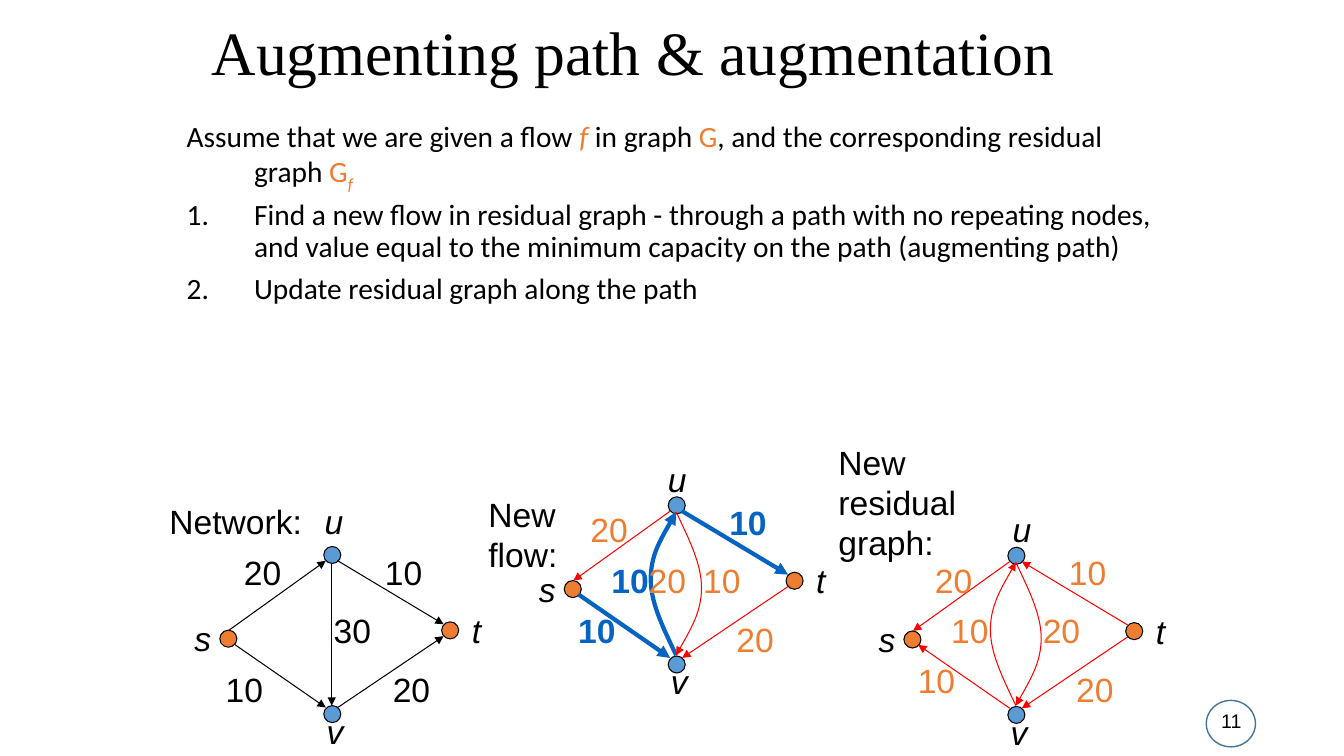
import pptx
import pptx.dml.color
import pptx.enum.shapes
import pptx.enum.text
import pptx.oxml.ns
import pptx.util
from lxml import etree

Cm = pptx.util.Cm
Pt = pptx.util.Pt
RGBColor = pptx.dml.color.RGBColor
qn = pptx.oxml.ns.qn
SHAPE = pptx.enum.shapes.MSO_SHAPE
ALIGN = pptx.enum.text.PP_ALIGN
ANCHOR = pptx.enum.text.MSO_ANCHOR
FIT = pptx.enum.text.MSO_AUTO_SIZE

BLACK = RGBColor(0x00, 0x00, 0x00)
ORANGE = RGBColor(0xED, 0x7D, 0x31)
SKY = RGBColor(0x5B, 0x9B, 0xD5)
BLUE = RGBColor(0x05, 0x63, 0xC1)
RED = RGBColor(0xFF, 0x00, 0x00)
BADGE_BLUE = RGBColor(0x43, 0x73, 0x9E)

PLAIN = (BLACK, BLACK, 0.75, False)
RESIDUAL = (RED, ORANGE, 0.75, False)
FLOW = (BLUE, BLUE, 3, True)

NODE_SIZE = 0.43
NODES = [(0, 2.11, ORANGE), (2.62, 0, SKY), (5.59, 1.9, ORANGE), (2.62, 4.01, SKY)]
NODE_NAMES = [("s", -0.89, 1.68, 0.94), ("t", 6.1, 1.47, 0.74), ("v", 2.44, 4.01, 0.94)]
STRAIGHT = {
    "ut": ((2.97, 0.36), (5.64, 1.96)),
    "us": ((2.67, 0.36), (0.23, 2.11)),
    "sv": ((0.36, 2.46), (2.67, 4.06)),
    "vt": ((2.97, 4.06), (5.64, 2.26)),
    "uv": ((2.82, 0.41), (2.82, 4.01)),
}
STRAIGHT.update({route[::-1]: ends[::-1] for route, ends in list(STRAIGHT.items())})
RISING = [(2.82, 3.99), (2.51, 3.33), (2.18, 2.69), (2.18, 2.08),
          (2.18, 1.47), (2.51, 0.94), (2.82, 0.38)]
CURVED = {"rising": RISING, "falling": [(5.64 - x, 4.37 - y) for x, y in RISING]}

NETWORK_EDGES = [
    ("ut", "10", 3.91, 0, PLAIN), ("su", "20", 0.36, 0, PLAIN),
    ("sv", "10", -0.1, 2.95, PLAIN), ("vt", "20", 4.11, 2.95, PLAIN),
    ("uv", "30", 2.62, 1.47, PLAIN),
]
FLOW_EDGES = [
    ("ut", "10", 3.91, 0, FLOW), ("us", "20", 0.41, 0.18, RESIDUAL),
    ("sv", "10", 0.1, 2.72, FLOW), ("tv", "20", 4.09, 2.95, RESIDUAL),
    ("rising", "10", 0.94, 1.45, FLOW), ("falling", "10", 3.25, 1.45, RESIDUAL),
    ("", "20", 1.88, 1.45, RESIDUAL),
]
RESIDUAL_EDGES = [
    ("tu", "10", 3.91, 0, RESIDUAL), ("us", "20", 0.53, 0.18, RESIDUAL),
    ("vs", "10", 0.1, 2.72, RESIDUAL), ("tv", "20", 4.09, 2.95, RESIDUAL),
    ("rising", "10", 0.94, 1.45, RESIDUAL), ("falling", "20", 3.25, 1.45, RESIDUAL),
]


def add_title(page, left, top, width, height):
    """Place the heading in the title placeholder."""
    title = page.shapes.title
    title.left, title.top, title.width, title.height = map(Cm, (left, top, width, height))
    frame = title.text_frame
    frame.auto_size = FIT.NONE
    frame.vertical_anchor = ANCHOR.MIDDLE
    frame.text = "Augmenting path & augmentation"
    para = frame.paragraphs[0]
    para.alignment = ALIGN.LEFT
    para.line_spacing = 0.9
    para.font.name, para.font.size = "Times New Roman", Pt(44)
    para.font.color.rgb = BLACK


def add_steps(page, left, top, width, height):
    """Fill the body placeholder with the premise and the numbered steps."""
    body = page.placeholders[1]
    body.left, body.top, body.width, body.height = map(Cm, (left, top, width, height))
    frame = body.text_frame
    frame.auto_size = FIT.NONE
    premise = [("Assume that we are given a flow ", ""), ("f ", "accent italic"),
               ("in graph ", ""), ("G", "accent"),
               (", and the corresponding residual graph ", ""),
               ("G", "accent"), ("f", "accent italic subscript")]
    steps = ["Find a new flow in residual graph - through a path with no repeating nodes, "
             "and value equal to the minimum capacity on the path (augmenting path)",
             "Update residual graph along the path"]
    for index, spans in enumerate([premise] + [[(step, "")] for step in steps]):
        para = frame.add_paragraph() if index else frame.paragraphs[0]
        para.line_spacing = 0.9
        para.space_before = Pt(7.5 if index else 0)
        properties = para._p.get_or_add_pPr()
        properties.set("marL", str(Cm(1.7)))
        properties.set("indent", str(-Cm(1.7)))
        if index:
            etree.SubElement(properties, qn("a:buAutoNum"), type="arabicPeriod")
        else:
            etree.SubElement(properties, qn("a:buNone"))
        para.font.name, para.font.size = "Calibri", Pt(21)
        for words, look in spans:
            span = para.add_run()
            span.text = words
            span.font.color.rgb = ORANGE if "accent" in look else BLACK
            if "italic" in look:
                span.font.italic = True
            if "subscript" in look:
                span._r.get_or_add_rPr().set("baseline", "-25000")


def add_label(page, left, top, width, lines, color=BLACK, bold=False, italic=False):
    """Write a 24-point label, one paragraph per line."""
    box = page.shapes.add_textbox(Cm(left), Cm(top), Cm(width), Cm(0.25 + 1.02 * len(lines)))
    frame = box.text_frame
    frame.word_wrap = False
    frame.auto_size = FIT.SHAPE_TO_FIT_TEXT
    frame.vertical_anchor = ANCHOR.MIDDLE
    for index, line in enumerate(lines):
        para = frame.add_paragraph() if index else frame.paragraphs[0]
        para.text = line
        para.font.name, para.font.size = "Arial", Pt(24)
        para.font.bold, para.font.italic = bold, italic
        para.font.color.rgb = color


def add_circle(page, left, top, width, height, fill, outline, weight):
    """Draw an ellipse, hollow when no fill is given."""
    circle = page.shapes.add_shape(SHAPE.OVAL, Cm(left), Cm(top), Cm(width), Cm(height))
    circle.shadow.inherit = False
    if fill is None:
        circle.fill.background()
    else:
        circle.fill.solid()
        circle.fill.fore_color.rgb = fill
    circle.line.color.rgb = outline
    circle.line.width = Pt(weight)


def add_curve(page, points):
    """Draw an open Bézier outline through groups of three control points."""
    points = [(Cm(x), Cm(y)) for x, y in points]
    builder = page.shapes.build_freeform(*points[0])
    builder.add_line_segments(points[1:], close=False)
    curve = builder.convert_to_shape()
    curve.fill.background()
    path = curve._element.find(".//" + qn("a:path"))
    segments = path.findall(qn("a:lnTo"))
    for start in range(0, len(segments), 3):
        bend = etree.SubElement(path, qn("a:cubicBezTo"))
        for segment in segments[start:start + 3]:
            bend.append(segment[0])
            path.remove(segment)
    return curve


def add_arrow(page, points, color, weight):
    """Draw a straight or curved edge with an arrowhead at its end."""
    if len(points) == 2:
        ends = [Cm(value) for point in points for value in point]
        arrow = page.shapes.add_connector(pptx.enum.shapes.MSO_CONNECTOR.STRAIGHT, *ends)
    else:
        arrow = add_curve(page, points)
    arrow.line.color.rgb = color
    arrow.line.width = Pt(weight)
    etree.SubElement(arrow.line._get_or_add_ln(), qn("a:tailEnd"), type="triangle")
    etree.SubElement(arrow._element.spPr, qn("a:effectLst"))


def add_graph(page, left, top, edges, u_name, caption):
    """Draw a four-node graph with its edges, weights, node names and caption."""
    for x, y, color in NODES:
        add_circle(page, left + x, top + y, NODE_SIZE, NODE_SIZE, color, BLACK, 0.75)
    for route, weight, x, y, (stroke, ink, thickness, bold) in edges:
        points = STRAIGHT.get(route) or CURVED.get(route)
        if points:
            add_arrow(page, [(left + px, top + py) for px, py in points], stroke, thickness)
    for route, weight, x, y, (stroke, ink, thickness, bold) in edges:
        add_label(page, left + x, top + y, 1.45, [weight], ink, bold)
    for name, x, y, width in NODE_NAMES + [("u", *u_name, 0.99)]:
        add_label(page, left + x, top + y, width, [name], italic=True)
    x, y, width, lines = caption
    add_label(page, left + x, top + y, width, lines)


def add_page_number(page, left, top, width, height):
    """Draw the circled page number."""
    add_circle(page, left, top, width, height, None, BADGE_BLUE, 1)
    box = page.shapes.add_textbox(Cm(left - 6.48), Cm(top), Cm(7.62), Cm(1.02))
    frame = box.text_frame
    frame.word_wrap = True
    frame.vertical_anchor = ANCHOR.MIDDLE
    para = frame.paragraphs[0]
    para.text = "11"
    para.alignment = ALIGN.RIGHT
    para.font.name, para.font.size = "Arial", Pt(14)
    para.font.color.rgb = BLACK


def main():
    """Build the slide and save the deck."""
    deck = pptx.Presentation()
    deck.slide_width, deck.slide_height = Cm(33.87), Cm(19.05)
    page = deck.slides.add_slide(deck.slide_layouts[1])
    add_page_number(page, 30.4, 17.65, 1.24, 1.17)
    add_title(page, 5.08, -0.2, 23.29, 3.18)
    add_steps(page, 4.45, 2.95, 24.99, 9.96)
    add_graph(page, 5.54, 13.77, NETWORK_EDGES, (2.39, -1.27),
              (-1.52, -1.27, 3.89, ["Network:"]))
    add_graph(page, 22.78, 13.79, RESIDUAL_EDGES, (2.49, -1.09),
              (-1.9, -2.79, 3.51, ["New", "residual", "graph:"]))
    add_graph(page, 14.22, 12.52, FLOW_EDGES, (2.36, -1.09),
              (-2.16, -0.2, 2.26, ["New", "flow:"]))
    deck.save("out.pptx")


if __name__ == "__main__":
    main()
